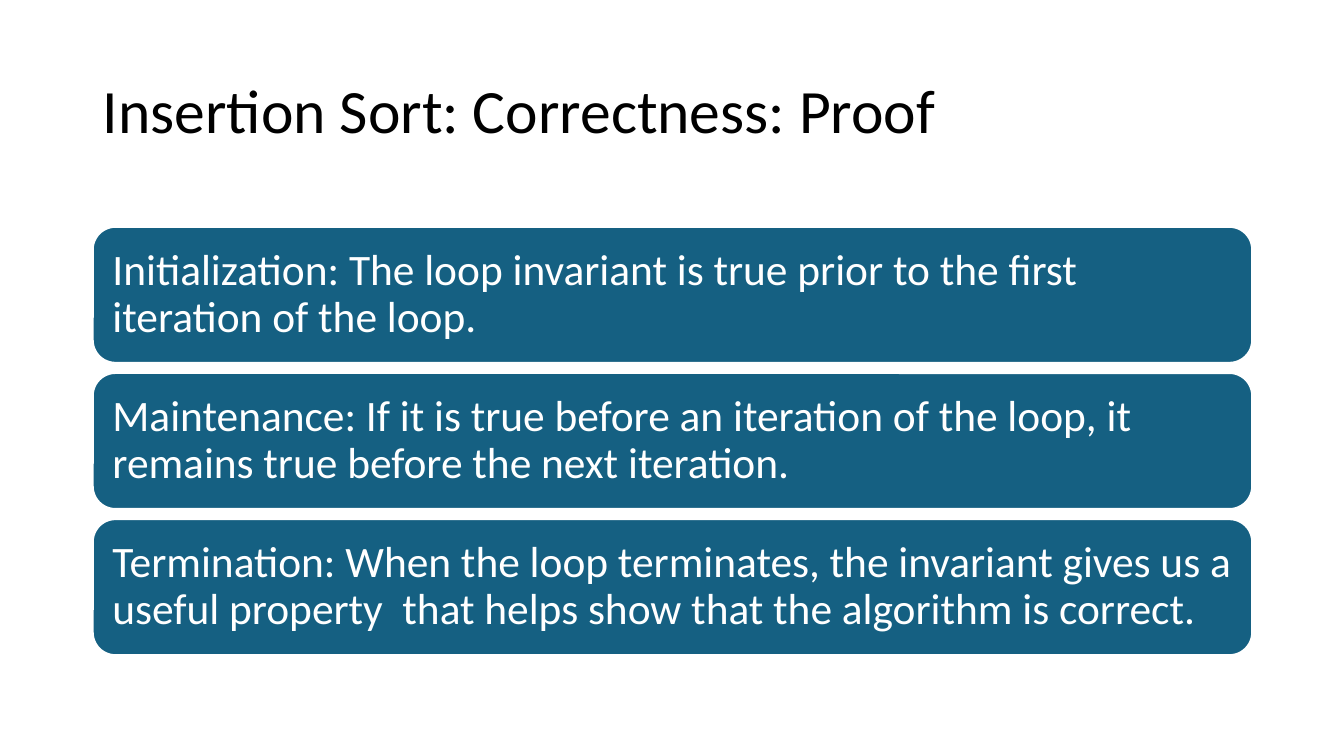
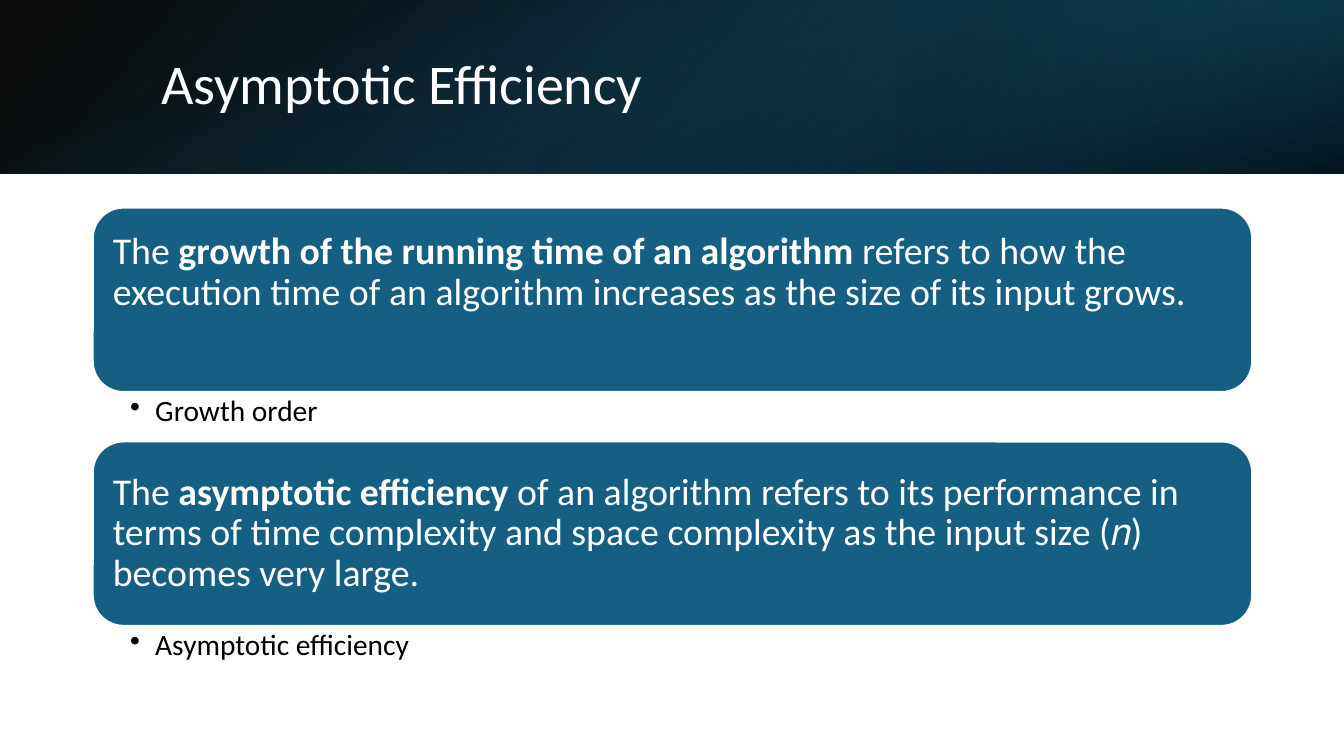
from dataclasses import dataclass

import pptx
import pptx.dml.color
import pptx.enum.shapes
import pptx.enum.text
import pptx.oxml
import pptx.oxml.ns
import pptx.util
from pptx.util import Inches

SHAPE = pptx.enum.shapes.MSO_SHAPE
ALIGN = pptx.enum.text.PP_ALIGN
ANCHOR = pptx.enum.text.MSO_ANCHOR


@dataclass(frozen=True)
class Theme:
    font: str = "Calibri"
    ink: str = "000000"
    paper: str = "FFFFFF"
    accent: str = "156082"
    band_teal: str = "104862"
    band_navy: str = "0B3041"
    title_size: int = 44
    band_title_size: int = 40
    step_size: int = 31
    definition_size: int = 27
    note_size: int = 21
    line_spacing: float = 0.9
    left: float = 0.92
    width: float = 11.5
    band_height: float = 1.72


T = Theme()
SLIDE_W, SLIDE_H = 13.33, 7.5

STEPS = [
    "Initialization: The loop invariant is true prior to the first iteration of the loop.",
    "Maintenance: If it is true before an iteration of the loop, it remains true before "
    "the next iteration.",
    "Termination: When the loop terminates, the invariant gives us a useful property  that "
    "helps show that the algorithm is correct.",
]

# Text before the term, term, text after it, note, extra space below the text
DEFINITIONS = [
    ("The ", "growth of the running time of an algorithm",
     " refers to how the execution time of an algorithm increases as the size of its "
     "input grows.", "Growth order", 0.54),
    ("The ", "asymptotic efficiency",
     " of an algorithm refers to its performance in terms of time complexity and space "
     "complexity as the input size (𝑛) becomes very large.", "Asymptotic efficiency", 0),
]


def rgb(color):
    return pptx.dml.color.RGBColor.from_string(color)


def box(left, top, width, height):
    return [Inches(v) for v in (left, top, width, height)]


def write(shape, *texts, size, color, bold_index=None, bullet=False,
          anchor=ANCHOR.MIDDLE, margins=(0.1, 0.05, 0.1, 0.05)):
    """Fill a shape with one paragraph; each text is a run, one may be bold."""
    tf = shape.text_frame
    tf.word_wrap = True
    tf.auto_size = pptx.enum.text.MSO_AUTO_SIZE.NONE
    tf.vertical_anchor = anchor
    tf.margin_left, tf.margin_top, tf.margin_right, tf.margin_bottom = box(*margins)
    p = tf.paragraphs[0]
    p.alignment = ALIGN.LEFT
    p.line_spacing = T.line_spacing
    if bullet:
        add_bullet(p)
    for i, text in enumerate(texts):
        r = p.add_run()
        r.text = text
        r.font.name = T.font
        r.font.size = pptx.util.Pt(size)
        r.font.color.rgb = rgb(color)
        r.font.bold = i == bold_index


def add_bullet(p, indent=0.25):
    pPr = p._p.get_or_add_pPr()
    pPr.set("marL", str(Inches(indent)))
    pPr.set("indent", str(-Inches(indent)))
    bullet = pptx.oxml.parse_xml(
        f'<a:buChar {pptx.oxml.ns.nsdecls("a")} char="•"/>')
    pPr.append(bullet)


def add_title(s, text, frame, **style):
    title = s.shapes.title
    title.left, title.top, title.width, title.height = box(*frame)
    write(title, text, **style)
    title.element.getparent().append(title.element)  # in front of any band


def add_card(s, top, height, *texts, margin, extra_bottom=0, **style):
    sp = s.shapes.add_shape(SHAPE.ROUNDED_RECTANGLE, *box(T.left, top, T.width, height))
    sp.shadow.inherit = False
    sp.fill.solid()
    sp.fill.fore_color.rgb = rgb(T.accent)
    sp.line.color.rgb = rgb(T.paper)
    sp.line.width = pptx.util.Pt(1.5)
    write(sp, *texts, color=T.paper,
          margins=(margin, margin, margin, margin + extra_bottom), **style)


def add_note(s, top, height, text):
    sp = s.shapes.add_textbox(*box(T.left, top, T.width, height))
    write(sp, text, size=T.note_size, color=T.ink, bullet=True,
          anchor=ANCHOR.TOP, margins=(0.37, 0.04, 0.21, 0.04))


def add_gradient(s, frame, stops, angle, rotation=0, flip=False):
    """Rectangle with a linear gradient; stops are (position, colour, opacity) in %."""
    sp = s.shapes.add_shape(SHAPE.RECTANGLE, *box(*frame))
    sp.shadow.inherit = False
    sp.line.fill.background()
    sp.rotation = rotation
    spPr = sp.element.spPr
    if flip:
        spPr.find(pptx.oxml.ns.qn("a:xfrm")).set("flipH", "1")
    gs = "".join(
        f'<a:gs pos="{pos * 1000}"><a:srgbClr val="{color}">'
        f'<a:alpha val="{opacity * 1000}"/></a:srgbClr></a:gs>'
        for pos, color, opacity in stops)
    fill = pptx.oxml.parse_xml(
        f'<a:gradFill {pptx.oxml.ns.nsdecls("a")} rotWithShape="1"><a:gsLst>{gs}</a:gsLst>'
        f'<a:lin ang="{angle * 60000}" scaled="0"/></a:gradFill>')
    spPr.find(pptx.oxml.ns.qn("a:prstGeom")).addnext(fill)


def add_band(s):
    h = T.band_height
    third = SLIDE_W / 3
    offset = (SLIDE_W - h) / 2  # an upright strip turned to lie across the top
    add_gradient(s, (0, 0, SLIDE_W, h),
                 [(0, T.ink, 96), (100, T.band_teal, 100)], 140, flip=True)
    add_gradient(s, (SLIDE_W - third, 0, third, h),
                 [(19, T.band_navy, 68), (100, T.accent, 79)], 320, rotation=180, flip=True)
    add_gradient(s, (offset, -offset, h, SLIDE_W),
                 [(23, T.accent, 0), (99, T.ink, 74)], 340, rotation=90)


def build_proof(s):
    add_title(s, "Insertion Sort: Correctness: Proof", (T.left, 0.4, T.width, 1.45),
              size=T.title_size, color=T.ink)
    top, height, gap = 2.25, 1.35, 0.1
    for i, step in enumerate(STEPS):
        add_card(s, top + i * (height + gap), height, step, margin=0.13, size=T.step_size)


def build_efficiency(s):
    add_band(s)
    add_title(s, "Asymptotic Efficiency", (1.5, 0.38, 10.98, 0.96),
              size=T.band_title_size, color=T.paper)
    top, card_h, note_h = 2.06, 1.83, 0.49
    for i, (before, term, after, note, extra) in enumerate(DEFINITIONS):
        y = top + i * (card_h + note_h)
        add_card(s, y, card_h, before, term, after, bold_index=1, margin=0.11,
                 extra_bottom=extra, size=T.definition_size)
        add_note(s, y + card_h, note_h, note)


def main():
    prs = pptx.Presentation()
    prs.slide_width, prs.slide_height = Inches(SLIDE_W), Inches(SLIDE_H)
    title_only = prs.slide_layouts[5]
    for build in (build_proof, build_efficiency):
        build(prs.slides.add_slide(title_only))
    prs.save("out.pptx")


if __name__ == "__main__":
    main()
